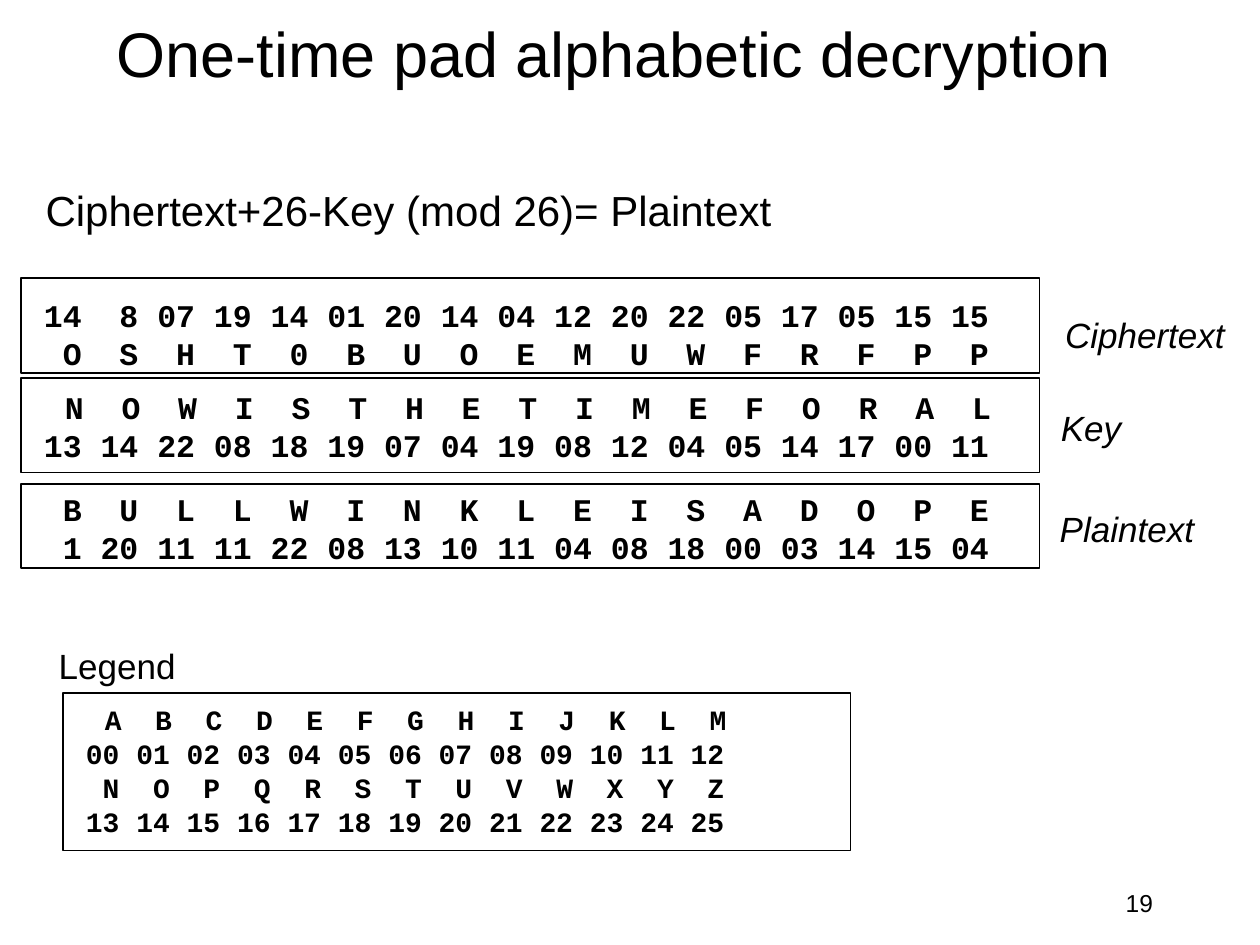
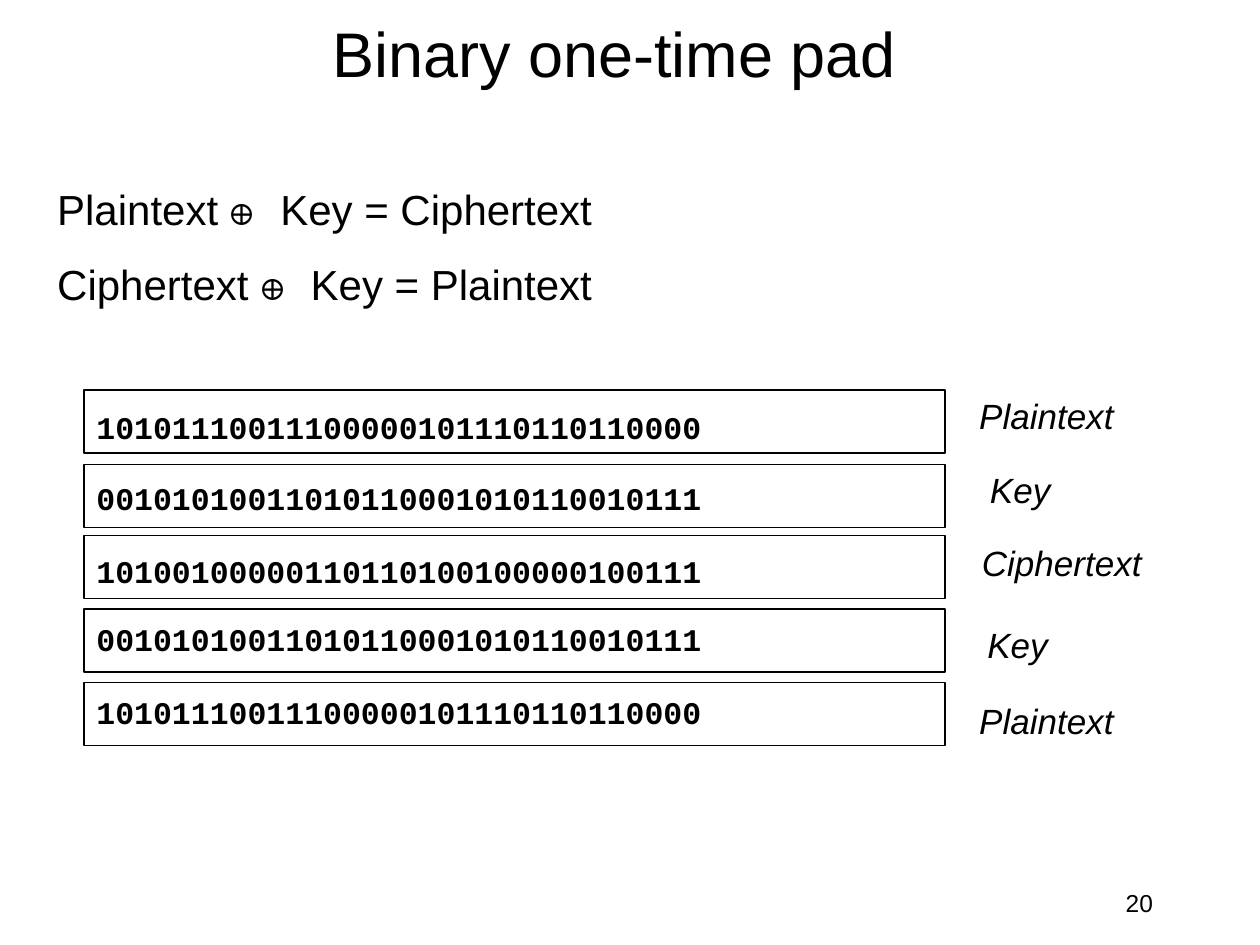
import pptx
import pptx.util
import pptx.dml.color
import pptx.enum.shapes
import pptx.enum.text
import pptx.oxml
import pptx.oxml.ns

Pt = pptx.util.Pt
ALIGN = pptx.enum.text.PP_ALIGN
FIT = pptx.enum.text.MSO_AUTO_SIZE

COLORS = {"ink": "000000", "paper": "FFFFFF"}
CHAR_EM = 0.6  # width of a monospaced character in ems

# Text formats shared by the slides
TITLE = {"name": "Arial", "size": Pt(36)}
FORMULA = {"name": "Arial", "size": Pt(24)}
OPERATOR = {"name": "Courier New", "size": Pt(24)}
NUMBER = {"name": "Arial", "size": Pt(14)}
CAPTION = {"name": "Arial", "size": Pt(20)}
LABEL = {**CAPTION, "italic": True}
CODE = {"name": "Courier New", "size": Pt(18), "bold": True}
LEGEND_CODE = {**CODE, "size": Pt(16)}

FIXED = {"word_wrap": True, "auto_size": FIT.NONE}
GROWING = {"word_wrap": True, "auto_size": FIT.SHAPE_TO_FIT_TEXT}
ONE_LINE = {"word_wrap": False, "auto_size": FIT.SHAPE_TO_FIT_TEXT}

LABEL_WIDTHS = {"Ciphertext": 106.5, "Plaintext": 92, "Key": 50}


def color(name):
    return pptx.dml.color.RGBColor.from_string(COLORS[name])


def apply(target, formats):
    for attribute, value in formats.items():
        setattr(target, attribute, value)


def add_run(paragraph, text, formats):
    run = paragraph.add_run()
    run.text = text
    apply(run.font, formats)
    run.font.color.rgb = color("ink")


def add_text(slide, box, paragraphs, align=ALIGN.LEFT, frame_format=ONE_LINE):
    """Each paragraph is a list of (text, format) runs."""
    frame = slide.shapes.add_textbox(*map(Pt, box)).text_frame
    apply(frame, frame_format)
    for index, runs in enumerate(paragraphs):
        paragraph = frame.add_paragraph() if index else frame.paragraphs[0]
        paragraph.alignment = align
        for text, formats in runs:
            add_run(paragraph, text, formats)
    return frame


def add_frame(slide, box):
    frame = slide.shapes.add_shape(
        pptx.enum.shapes.MSO_SHAPE.RECTANGLE, *map(Pt, box))
    frame.shadow.inherit = False
    frame.fill.solid()
    frame.fill.fore_color.rgb = color("paper")
    frame.line.color.rgb = color("ink")
    frame.line.width = Pt(1)


def add_tab_stops(paragraph, count, char_width, shift):
    """Right-aligned stops: columns of two characters, one apart."""
    properties = paragraph._p.get_or_add_pPr()
    stops = pptx.oxml.parse_xml(
        f"<a:tabLst {pptx.oxml.ns.nsdecls('a')}/>")
    for column in range(count):
        stop = stops.makeelement(pptx.oxml.ns.qn("a:tab"), {
            "pos": str(int(Pt((3 * column + 2) * char_width + shift))),
            "algn": "r"})
        stops.append(stop)
    properties.append(stops)


def add_columns(slide, box, rows, formats, lead_size=None, frame_format=GROWING):
    """Rows of symbols in aligned columns; lead_size enlarges the first tab."""
    lead = {**formats, "size": lead_size or formats["size"]}
    paragraphs = []
    for index, row in enumerate(rows):
        paragraphs.append([("\t", formats if index else lead),
                           ("\t".join(row.split()), formats)])
    frame = add_text(slide, box, paragraphs, frame_format=frame_format)
    char_width = formats["size"].pt * CHAR_EM
    lead_shift = lead["size"].pt * CHAR_EM - char_width
    for index, paragraph in enumerate(frame.paragraphs):
        add_tab_stops(paragraph, len(rows[index].split()), char_width,
                      0 if index else lead_shift)


def add_label(slide, left, top, text):
    add_text(slide, (left, top, LABEL_WIDTHS[text], 31.5), [[(text, LABEL)]],
             ALIGN.CENTER)


def add_formula(slide, box, runs):
    add_text(slide, box, [runs], ALIGN.CENTER)


def start_slide(deck, title, number):
    slide = deck.slides.add_slide(deck.slide_layouts[6])
    heading = add_text(slide, (30, 0, 642, 60), [[(title, TITLE)]],
                       ALIGN.CENTER, FIXED)
    heading.vertical_anchor = pptx.enum.text.MSO_ANCHOR.MIDDLE
    add_text(slide, (600, 504, 66, 36), [[(number, NUMBER)]], ALIGN.RIGHT, FIXED)
    return slide


def add_message(slide, box, text_top, rows, label, label_at, lead_size=None):
    left, top, width, height = box
    add_frame(slide, box)
    add_columns(slide, (left + 6, top + text_top, width - 6, 51), rows, CODE,
                lead_size)
    add_label(slide, left + label_at[0], top + label_at[1], label)


def add_legend(slide, box):
    left, top, width, height = box
    add_text(slide, (left - 10, top - 31.5, 82, 31.5), [[("Legend", CAPTION)]],
             ALIGN.CENTER)
    add_frame(slide, box)
    rows = ["A B C D E F G H I J K L M",
            "00 01 02 03 04 05 06 07 08 09 10 11 12",
            "N O P Q R S T U V W X Y Z",
            "13 14 15 16 17 18 19 20 21 22 23 24 25"]
    add_columns(slide, (left + 6, top, 413, 87), rows, LEGEND_CODE,
                Pt(18), ONE_LINE)


def add_bit_string(slide, box, text_top, bits, label, label_at):
    left, top, width, height = box
    add_frame(slide, box)
    add_text(slide, (left, top + text_top, width - 6, 29), [[(bits, CODE)]],
             frame_format=GROWING)
    add_label(slide, left + label_at[0], top + label_at[1], label)


def alphabetic_slide(deck):
    slide = start_slide(deck, "One-time pad alphabetic decryption", "19")
    add_formula(slide, (12, 102, 443, 36),
                [("Ciphertext+26-Key (mod 26)= Plaintext", FORMULA)])

    # Ciphertext, key and plaintext
    add_message(slide, (12, 159, 582, 54), 6.5,
                ["14 8 07 19 14 01 20 14 04 12 20 22 05 17 05 15 15",
                 "O S H T 0 B U O E M U W F R F P P"],
                "Ciphertext", (589, 16.5))
    add_message(slide, (12, 216, 582, 54), 0,
                ["N O W I S T H E T I M E F O R A L",
                 "13 14 22 08 18 19 07 04 19 08 12 04 05 14 17 00 11"],
                "Key", (586.5, 12.5), Pt(20))
    add_message(slide, (12, 276.5, 582, 48), 0,
                ["B U L L W I N K L E I S A D O P E",
                 "1 20 11 11 22 08 13 10 11 04 08 18 00 03 14 15 04"],
                "Plaintext", (586, 10))

    add_legend(slide, (36, 396, 450, 90))


def binary_slide(deck):
    slide = start_slide(deck, "Binary one-time pad", "20")

    # Encryption and decryption rules
    for top, source, result in ((101.5, "Plaintext", "Ciphertext"),
                                (144, "Ciphertext", "Plaintext")):
        add_formula(slide, (18, top, 335, 36),
                    [(f"{source} ", FORMULA), ("⊕ ", OPERATOR),
                     (f"Key = {result}", FORMULA)])

    # Bit strings: top, text offset, bits, label, label offset
    plaintext = "10101110011100000101110110110000"
    key = "00101010011010110001010110010111"
    ciphertext = "10100100000110110100100000100111"
    for top, text_top, bits, label, label_at in (
            (223, 6.5, plaintext, "Plaintext", (504, -1)),
            (265.5, 4.5, key, "Key", (510, -1.5)),
            (306, 6, ciphertext, "Ciphertext", (505.5, 0)),
            (348, 2.5, key, "Key", (508.5, 5)),
            (390, 2.5, plaintext, "Plaintext", (504, 6))):
        add_bit_string(slide, (48, top, 492, 36), text_top, bits, label, label_at)


def main():
    deck = pptx.Presentation()
    deck.slide_width, deck.slide_height = Pt(720), Pt(540)
    alphabetic_slide(deck)
    binary_slide(deck)
    deck.save("out.pptx")


if __name__ == "__main__":
    main()
